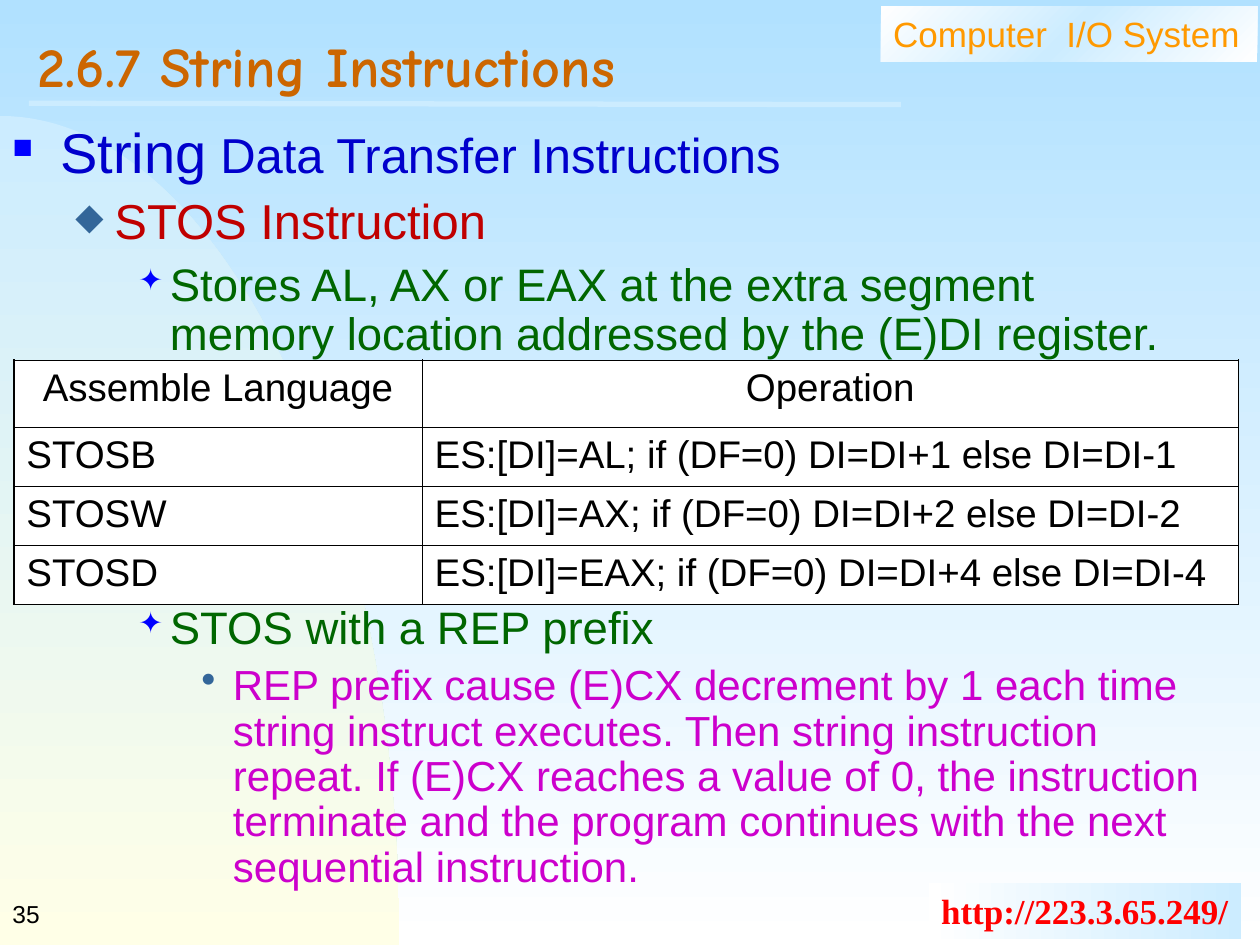
from copy import deepcopy
from dataclasses import dataclass

from lxml.etree import SubElement
from pptx import Presentation
from pptx.dml.color import RGBColor
from pptx.dml.fill import FillFormat
from pptx.enum.shapes import MSO_CONNECTOR, MSO_SHAPE
from pptx.enum.text import MSO_ANCHOR, PP_ALIGN
from pptx.oxml.ns import qn
from pptx.shapes.autoshape import Shape
from pptx.slide import Slide
from pptx.table import _Cell
from pptx.text.text import TextFrame, _Paragraph
from pptx.util import Inches, Pt

BLACK = RGBColor(0x00, 0x00, 0x00)
WHITE = RGBColor(0xFF, 0xFF, 0xFF)
SKY = RGBColor(0xB1, 0xE1, 0xFF)
PALE = RGBColor(0xCC, 0xEC, 0xFF)
CREAM = RGBColor(0xFF, 0xFF, 0xE7)
AMBER = RGBColor(0xFF, 0x99, 0x00)
BROWN = RGBColor(0xCC, 0x66, 0x00)
RED = RGBColor(0xFF, 0x00, 0x00)
DARK_RED = RGBColor(0xC0, 0x00, 0x00)
BLUE = RGBColor(0x00, 0x00, 0xFF)
NAVY = RGBColor(0x00, 0x00, 0xCC)
STEEL = RGBColor(0x33, 0x66, 0x99)
GREEN = RGBColor(0x00, 0x66, 0x00)
PURPLE = RGBColor(0xCC, 0x00, 0xCC)


@dataclass
class Run:
    text: str
    size: float
    color: RGBColor
    font: str = "Arial"
    bold: bool = False


@dataclass
class Level:
    left: float
    hang: float
    mark: str
    tint: RGBColor
    scale: int
    before: float


@dataclass
class Item:
    depth: int
    runs: list[Run]
    gap: float = 0  # extra points above the paragraph


LEVELS = [
    Level(0.38, 0.38, "■", BLUE, 50, 7),
    Level(0.81, 0.31, "◆", STEEL, 75, 7),
    Level(1.25, 0.25, "✦", BLUE, 65, 6.5),
    Level(1.75, 0.25, "•", STEEL, 100, 6),
]

ITEMS = [
    Item(0, [Run("String", 32, NAVY),
             Run(" Data Transfer Instructions", 28, NAVY)]),
    Item(1, [Run("STOS Instruction", 28, DARK_RED)]),
    Item(2, [Run("Stores AL, AX or EAX at the extra segment memory location "
                 "addressed by the (E)DI register.", 26, GREEN)]),
    Item(2, [Run("STOS with a REP prefix", 26, GREEN)], gap=133.5),
    Item(3, [Run("REP prefix cause (E)CX decrement by 1 each time string "
                 "instruct executes. Then string instruction repeat. If (E)CX "
                 "reaches a value of 0, the instruction terminate and the "
                 "program continues with the next sequential instruction.",
                 24, PURPLE)]),
]

ROWS = [
    ("Assemble Language", "Operation"),
    ("STOSB", "ES:[DI]=AL; if (DF=0) DI=DI+1 else DI=DI-1"),
    ("STOSW", "ES:[DI]=AX; if (DF=0) DI=DI+2 else DI=DI-2"),
    ("STOSD", "ES:[DI]=EAX; if (DF=0) DI=DI+4 else DI=DI-4"),
]


def write(para: _Paragraph, runs: list[Run]) -> None:
    for part in runs:
        run = para.add_run()
        run.text = part.text
        run.font.size = Pt(part.size)
        run.font.name = part.font
        run.font.bold = part.bold
        run.font.color.rgb = part.color


def blend(fill: FillFormat, angle: int, first: RGBColor, last: RGBColor) -> None:
    """Two-stop gradient; the angle runs clockwise."""
    fill.gradient()
    fill.gradient_angle = -angle % 360
    for stop, color, place in zip(fill.gradient_stops, (first, last), (0, 1)):
        stop.color.rgb = color
        stop.position = place


def add_label(slide: Slide, box: tuple, run: Run, wrap: bool) -> Shape:
    label = slide.shapes.add_shape(MSO_SHAPE.RECTANGLE, *map(Inches, box))
    label.shadow.inherit = False
    label.line.fill.background()
    label.text_frame.word_wrap = wrap
    label.text_frame.vertical_anchor = MSO_ANCHOR.TOP
    para = label.text_frame.paragraphs[0]
    para.alignment = PP_ALIGN.LEFT
    write(para, [run])
    return label


def add_curve(slide: Slide, steps: int = 60) -> None:
    """Quarter of an ellipse, sampled from one cubic curve."""
    xs, ys = (0, 1.75, 3.17, 3.17), (0.92, 0.92, 3.87, 7.5)

    def point(t: float) -> tuple[int, int]:
        u = 1 - t
        mix = (u ** 3, 3 * u * u * t, 3 * u * t * t, t ** 3)
        return tuple(Inches(sum(m * v for m, v in zip(mix, vs)))
                     for vs in (xs, ys))

    pen = slide.shapes.build_freeform(*point(0))
    pen.add_line_segments([point(i / steps) for i in range(1, steps + 1)]
                          + [(0, Inches(7.5))], close=True)
    hill = pen.convert_to_shape()
    hill.shadow.inherit = False
    hill.line.fill.background()
    blend(hill.fill, 90, PALE, CREAM)


def add_edges(cell: _Cell, widths: dict[str, float]) -> None:
    props = cell._tc.get_or_add_tcPr()
    for side, width in widths.items():
        line = SubElement(props, qn(f"a:ln{side}"), w=str(Pt(width)))
        SubElement(SubElement(line, qn("a:solidFill")), qn("a:srgbClr"),
                   val=str(BLACK))


def add_grid(slide: Slide) -> None:
    thick, thin = 1.08, 0.45
    widths, heights = (3.24, 6.48), (0.53, 0.47, 0.47, 0.47)
    grid = slide.shapes.add_table(
        len(ROWS), 2, Inches(0.11), Inches(2.86),
        Inches(sum(widths)), Inches(sum(heights))).table
    grid.first_row = grid.horz_banding = False
    for col, width in zip(grid.columns, widths):
        col.width = Inches(width)
    for r, texts in enumerate(ROWS):
        grid.rows[r].height = Inches(heights[r])
        for c, text in enumerate(texts):
            cell = grid.cell(r, c)
            outer = {"L": c == 0, "R": c == 1,
                     "T": r == 0, "B": r == len(ROWS) - 1}
            add_edges(cell, {s: thick if o else thin for s, o in outer.items()})
            cell.fill.solid()
            cell.fill.fore_color.rgb = WHITE
            para = cell.text_frame.paragraphs[0]
            para.alignment = PP_ALIGN.LEFT if r else PP_ALIGN.CENTER
            para.space_before = Pt(5.5)
            write(para, [Run(text, 22, BLACK)])


def add_item(para: _Paragraph, item: Item) -> None:
    level = LEVELS[item.depth]
    para.level = item.depth
    para.line_spacing = 0.9
    para.space_before = Pt(level.before + item.gap)
    props = para._p.get_or_add_pPr()
    props.set("marL", str(Inches(level.left)))
    props.set("indent", str(-Inches(level.hang)))
    SubElement(SubElement(props, qn("a:buClr")), qn("a:srgbClr"),
               val=str(level.tint))
    SubElement(props, qn("a:buSzPct"), val=str(level.scale * 1000))
    SubElement(props, qn("a:buChar"), char=level.mark)
    write(para, item.runs)


def add_box(slide: Slide, *box: float) -> TextFrame:
    frame = slide.shapes.add_textbox(*map(Inches, box)).text_frame
    frame.word_wrap = True
    return frame


def main() -> None:
    deck = Presentation()
    deck.slide_width, deck.slide_height = Inches(10), Inches(7.5)
    slide = deck.slides.add_slide(deck.slide_layouts[5])

    # Backdrop
    blend(slide.background.fill, 90, SKY, WHITE)
    add_curve(slide)

    # Corner labels
    course = add_label(slide, (6.99, 0.05, 2.99, 0.44),
                       Run("Computer  I/O System", 20, AMBER), True)
    blend(course.fill, 45, WHITE, WHITE)
    first = course.element.find(".//" + qn("a:gs"))
    first.addnext(deepcopy(first))
    middle = course.fill.gradient_stops[1]
    middle.position, middle.color.rgb = 0.5, PALE
    site = add_label(slide, (7.37, 7.01, 2.48, 0.44),
                     Run("http://223.3.65.249/", 20, RED,
                         "Times New Roman", True), False)
    blend(site.fill, 0, WHITE, PALE)

    # Rule under the title
    rule = slide.shapes.add_connector(
        MSO_CONNECTOR.STRAIGHT, *map(Inches, (0.23, 0.82, 7.15, 0.83)))
    rule.line.color.rgb = PALE
    rule.line.width = Pt(3)
    SubElement(rule.element.spPr, qn("a:effectLst"))

    # Page number
    page = add_box(slide, 0, 7, 2.08, 0.5)
    page.vertical_anchor = MSO_ANCHOR.MIDDLE
    write(page.paragraphs[0], [Run("35", 14, BLACK)])

    # Title, raised above the backdrop
    title = slide.shapes.title
    title.left, title.top, title.width, title.height = map(
        Inches, (0.2, 0.2, 9.55, 0.77))
    title.element.getparent().append(title.element)
    title.text_frame.vertical_anchor = MSO_ANCHOR.MIDDLE
    head = title.text_frame.paragraphs[0]
    head.alignment = PP_ALIGN.LEFT
    head.line_spacing = 0.7
    write(head, [Run("2.6.7 String Instructions", 32, BROWN, "Comic Neue", True)])

    # Table and bullets
    add_grid(slide)
    body = add_box(slide, 0, 0.94, 9.65, 6.38)
    for i, item in enumerate(ITEMS):
        add_item(body.add_paragraph() if i else body.paragraphs[0], item)

    deck.save("out.pptx")


if __name__ == "__main__":
    main()
